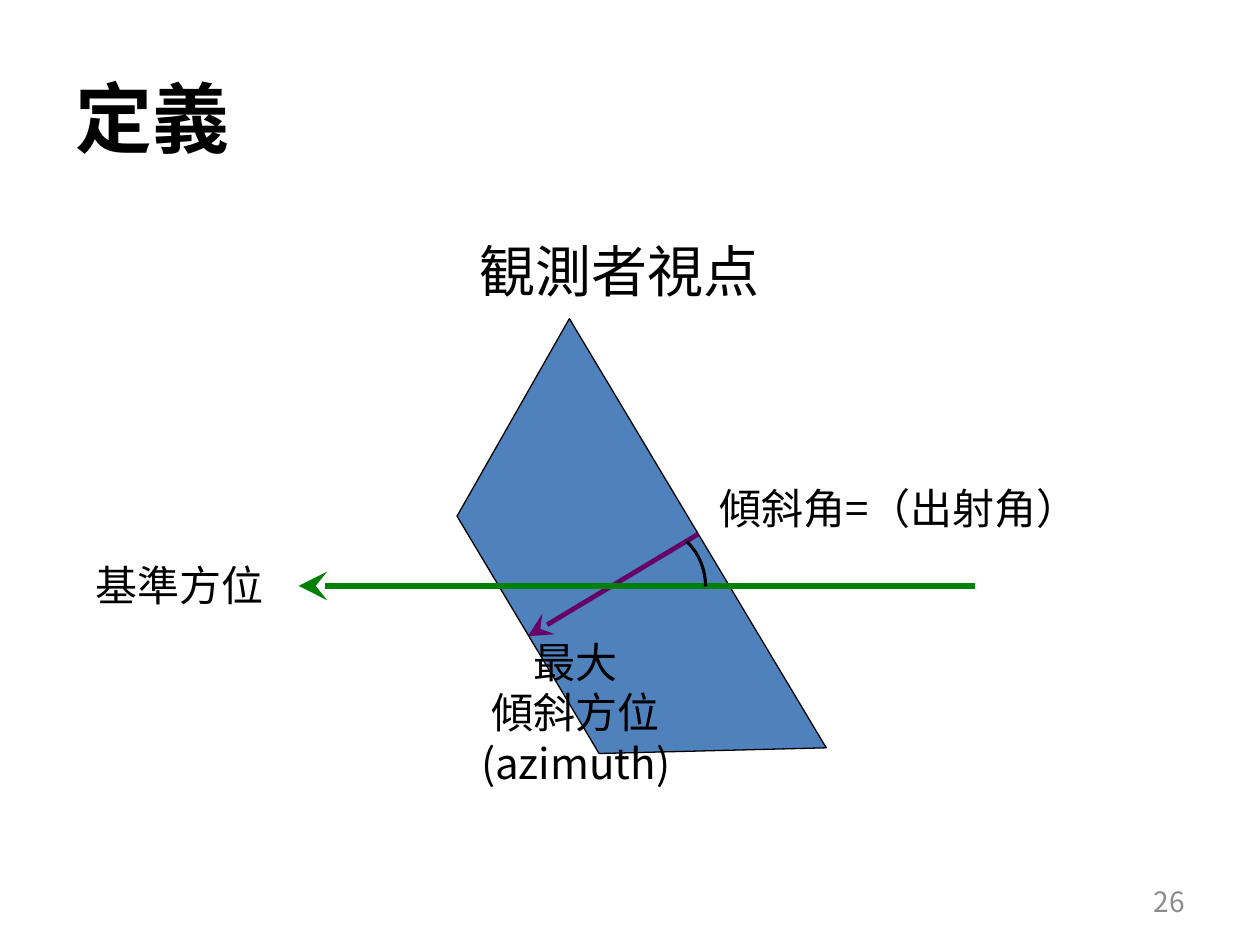
from pptx import Presentation
from pptx.dml.color import RGBColor
from pptx.enum.shapes import MSO_CONNECTOR, MSO_SHAPE
from pptx.enum.text import MSO_ANCHOR, MSO_AUTO_SIZE, PP_ALIGN
from pptx.oxml.ns import qn
from pptx.util import Inches, Pt
from lxml.etree import SubElement

BLACK = RGBColor(0x00, 0x00, 0x00)
GRAY = RGBColor(0x8C, 0x8C, 0x8C)
BLUE = RGBColor(0x4F, 0x81, 0xBD)
PURPLE = RGBColor(0x66, 0x00, 0x66)
GREEN = RGBColor(0x00, 0x80, 0x00)
FONT = "Noto Sans CJK JP"


class DiagramSlide:
    def __init__(self, prs):
        self.s = prs.slides.add_slide(prs.slide_layouts[5])
        self.sps = self.s.shapes

    def fill_text(self, tf, lines, align, size, color=BLACK, bold=False):
        for i, line in enumerate(lines):
            p = tf.paragraphs[0] if i == 0 else tf.add_paragraph()
            p.alignment = align
            r = p.add_run()
            r.text = line
            style = {"name": FONT, "size": Pt(size), "bold": bold}
            for key, value in style.items():
                setattr(r.font, key, value)
            r.font.color.rgb = color
            SubElement(r._r.get_or_add_rPr(), qn("a:ea"), typeface=FONT)

    def title(self, text, box):
        sp = self.sps.title
        sp.left, sp.top, sp.width, sp.height = map(Inches, box)
        sp.text_frame.vertical_anchor = MSO_ANCHOR.MIDDLE
        self.fill_text(sp.text_frame, [text], PP_ALIGN.LEFT, 44, bold=True)

    def label(self, lines, box, size=24, align=PP_ALIGN.CENTER, color=BLACK,
              wrap=False, anchor=MSO_ANCHOR.TOP):
        tf = self.sps.add_textbox(*map(Inches, box)).text_frame
        frame = {"word_wrap": wrap, "vertical_anchor": anchor,
                 "auto_size": MSO_AUTO_SIZE.NONE}
        for key, value in frame.items():
            setattr(tf, key, value)
        self.fill_text(tf, lines, align, size, color)

    def shape(self, kind, box, adjust, line_width, fill=None, rotation=0):
        sp = self.sps.add_shape(kind, *map(Inches, box))
        sp.shadow.inherit = False
        sp.rotation = rotation
        for i, value in enumerate(adjust):
            sp.adjustments[i] = value
        if fill is None:
            sp.fill.background()
        else:
            sp.fill.solid()
            sp.fill.fore_color.rgb = fill
        sp.line.color.rgb = BLACK
        sp.line.width = Pt(line_width)

    def arrow(self, start, end, color, width):
        cx = self.sps.add_connector(MSO_CONNECTOR.STRAIGHT,
                                    *map(Inches, start + end))
        cx.line.color.rgb = color
        cx.line.width = Pt(width)
        SubElement(cx.line._get_or_add_ln(), qn("a:tailEnd"),
                   type="stealth", w="lg", len="lg")
        SubElement(cx._element.spPr, qn("a:effectLst"))


def main():
    prs = Presentation()
    prs.slide_width, prs.slide_height = Inches(10), Inches(7.5)
    d = DiagramSlide(prs)

    d.title("定義", (0.5, 0.3, 9, 1.25))
    d.label(["26"], (7.17, 6.95, 2.33, 0.4), 16, PP_ALIGN.RIGHT, GRAY,
            wrap=True, anchor=MSO_ANCHOR.MIDDLE)

    d.shape(MSO_SHAPE.TRAPEZOID, (2.88, 3.85, 3.97, 1.57), [0.565], 0.75,
            BLUE, rotation=239.1)
    d.arrow((5.54, 4.24), (4.19, 5.05), PURPLE, 2.75)
    d.label(["最大", "傾斜方位", "(azimuth)"], (3.62, 5, 1.9, 1.31))
    d.arrow((7.74, 4.65), (2.37, 4.65), GREEN, 3.25)
    d.label(["基準方位"], (0.65, 4.39, 1.55, 0.51))

    # The arc runs from the slope line (308.9 degrees) to the reference line.
    arc_start = 308.9 * 60000 / 100000
    d.shape(MSO_SHAPE.ARC, (4.72, 4.18, 0.88, 0.95), [arc_start, 0], 1.75)
    d.label(["傾斜角=（出射角）"], (5.57, 3.78, 3.13, 0.5), wrap=True)
    d.label(["観測者視点"], (3.71, 1.83, 2.45, 0.64), 32, PP_ALIGN.LEFT)

    prs.save("out.pptx")


if __name__ == "__main__":
    main()
